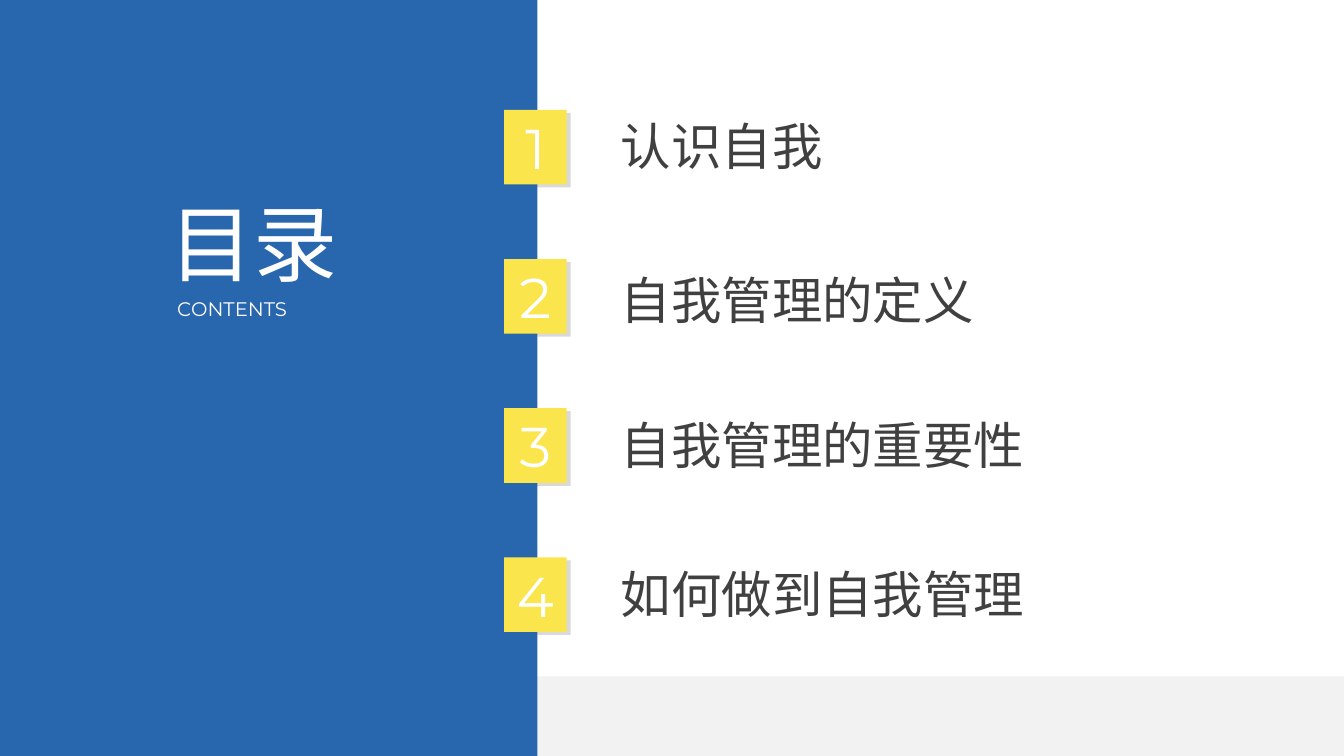
from dataclasses import dataclass

from lxml.etree import SubElement
from pptx import Presentation
from pptx.dml.color import RGBColor
from pptx.enum.shapes import MSO_SHAPE
from pptx.enum.text import MSO_ANCHOR, MSO_AUTO_SIZE, PP_ALIGN
from pptx.oxml.ns import qn
from pptx.shapes.autoshape import Shape
from pptx.slide import Slide
from pptx.util import Emu, Pt

PX = 9144
SLIDE_W, SLIDE_H = 1333, 750
PANEL_W = 533
BADGE_LEFT, BADGE_TOP, BADGE_W, BADGE_H = 500, 109, 62, 74
BADGE_STEP = 148
SHADOW_LEFT, SHADOW_DROP = 504, 3
TOPIC_LEFT, TOPIC_H = 606, 71
LATIN, CHINESE = "Montserrat", "Noto Sans CJK SC"
COLORS = {
    "blue": "2866AD",
    "yellow": "FBE54D",
    "shadow": "D9D9D9",
    "footer": "F2F2F2",
    "white": "FFFFFF",
    "text": "404040",
}


@dataclass(frozen=True)
class Box:
    left: int
    top: int
    width: int
    height: int

    def emu(self) -> list[Emu]:
        return [Emu(v * PX) for v in (self.left, self.top, self.width, self.height)]


@dataclass(frozen=True)
class Style:
    font: str
    size: int
    color: str
    align: PP_ALIGN = PP_ALIGN.LEFT


@dataclass(frozen=True)
class Topic:
    title: str
    top: int
    width: int


TITLE = Style(CHINESE, 60, "white")
SUBTITLE = Style(LATIN, 14, "white", PP_ALIGN.JUSTIFY)
NUMBER = Style(LATIN, 40, "white", PP_ALIGN.CENTER)
TOPIC = Style(CHINESE, 36, "text")
TOPICS = [
    Topic("认识自我", 109, 222),
    Topic("自我管理的定义", 262, 374),
    Topic("自我管理的重要性", 406, 424),
    Topic("如何做到自我管理", 554, 424),
]


def rgb(name: str) -> RGBColor:
    return RGBColor.from_string(COLORS[name])


def write(sp: Shape, text: str, style: Style, frame: dict) -> None:
    tf = sp.text_frame
    for name, value in frame.items():
        setattr(tf, name, value)
    p = tf.paragraphs[0]
    p.alignment = style.align
    r = p.add_run()
    r.text = text
    for name, value in {"name": style.font, "size": Pt(style.size)}.items():
        setattr(r.font, name, value)
    r.font.color.rgb = rgb(style.color)
    SubElement(r.font._element, qn("a:ea"), typeface=style.font)


def add_block(s: Slide, box: Box, color: str) -> Shape:
    sp = s.shapes.add_shape(MSO_SHAPE.RECTANGLE, *box.emu())
    sp.shadow.inherit = False
    sp.fill.solid()
    sp.fill.fore_color.rgb = rgb(color)
    sp.line.fill.background()
    return sp


def add_text(s: Slide, box: Box, text: str, style: Style, wrap: bool = False) -> None:
    sp = s.shapes.add_textbox(*box.emu())
    frame = {"word_wrap": wrap, "auto_size": MSO_AUTO_SIZE.SHAPE_TO_FIT_TEXT}
    write(sp, text, style, frame)


def main() -> None:
    prs = Presentation()
    prs.slide_width, prs.slide_height = Emu(SLIDE_W * PX), Emu(SLIDE_H * PX)
    s = prs.slides.add_slide(prs.slide_layouts[6])
    badge_tops = [BADGE_TOP + i * BADGE_STEP for i in range(len(TOPICS))]

    add_block(s, Box(326, 671, SLIDE_W - 326, SLIDE_H - 671), "footer")
    for top in badge_tops:
        add_block(s, Box(SHADOW_LEFT, top + SHADOW_DROP, BADGE_W, BADGE_H), "shadow")
    add_block(s, Box(0, 0, PANEL_W, SLIDE_H), "blue")

    add_text(s, Box(158, 185, 188, 111), "目录", TITLE)
    for number, top in enumerate(badge_tops, 1):
        sp = add_block(s, Box(BADGE_LEFT, top, BADGE_W, BADGE_H), "yellow")
        write(sp, str(number), NUMBER, {"vertical_anchor": MSO_ANCHOR.MIDDLE})
    add_text(s, Box(166, 290, 180, 34), "CONTENTS", SUBTITLE, wrap=True)
    for topic in TOPICS:
        box = Box(TOPIC_LEFT, topic.top, topic.width, TOPIC_H)
        add_text(s, box, topic.title, TOPIC)

    prs.save("out.pptx")


if __name__ == "__main__":
    main()
